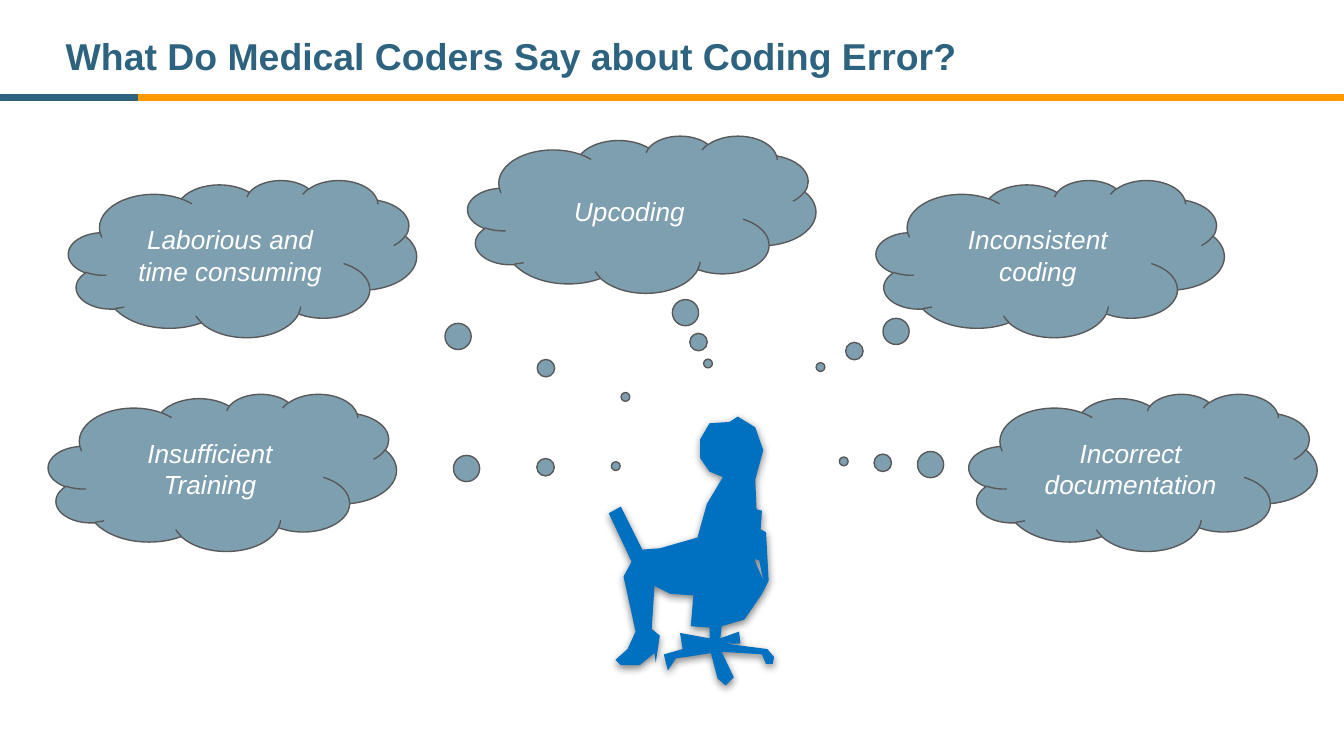
from dataclasses import dataclass

from lxml import etree
from pptx import Presentation
from pptx.dml.color import RGBColor
from pptx.enum.shapes import MSO_SHAPE
from pptx.enum.text import MSO_ANCHOR, MSO_AUTO_SIZE, PP_ALIGN
from pptx.oxml.ns import qn
from pptx.util import Pt


@dataclass(frozen=True)
class Theme:
    """Colours and type sizes of the slide."""
    teal: RGBColor = RGBColor(0x2D, 0x63, 0x7F)
    orange: RGBColor = RGBColor(0xFF, 0x99, 0x00)
    blue: RGBColor = RGBColor(0x00, 0x70, 0xC0)
    outline: RGBColor = RGBColor(0x59, 0x59, 0x59)
    white: RGBColor = RGBColor(0xFF, 0xFF, 0xFF)
    font: str = "Arial"
    title_size: float = 20
    thought_size: float = 14
    line_width: float = 0.75
    cloud_opacity: int = 61


THEME = Theme()
CLOUD_WIDTH, CLOUD_HEIGHT = 186.5, 84.2
UPPER_ROW, LOWER_ROW = 96.5, 211

THOUGHTS = [
    ("Upcoding", 250.6, 72.7, 0.19, 0.95),
    ("Inconsistent coding", 469.4, UPPER_ROW, -0.66, 0.69),
    ("Laborious and time consuming", 36.7, UPPER_ROW, 1.1, 0.88),
    ("Insufficient Training", 25.9, LOWER_ROW, 1.13, -0.04),
    ("Incorrect documentation", 519.1, LOWER_ROW, -0.86, -0.07),
]

CODER_OUTLINE = [
    (576, 489), (571, 483), (540, 479), (551, 479), (550, 470), (536, 475),
    (537, 466), (554, 461), (567, 442), (572, 432), (570, 396), (566, 394),
    (567, 380), (563, 379), (562, 357), (568, 335), (562, 318), (549, 310),
    (543, 314), (528, 315), (521, 327), (521, 341), (528, 351), (538, 355),
    (526, 375), (519, 400), (491, 408), (478, 409), (462, 377), (453, 382),
    (470, 418), (464, 429), (473, 470), (467, 483), (458, 491), (462, 495),
    (476, 495), (487, 486), (488, 493), (491, 473), (485, 468), (487, 436),
    (499, 442), (516, 443), (514, 466), (528, 467), (528, 475), (506, 471),
    (508, 483), (494, 487), (497, 499), (503, 490), (529, 486), (534, 505),
    (540, 510), (546, 504), (537, 485), (567, 487), (570, 494), (575, 494),
]
ARMREST_GAP = [(562, 416), (565, 417), (568, 432), (562, 418)]


def paint(shape, fill, line):
    """Set a flat fill and outline without a shadow."""
    shape.shadow.inherit = False
    shape.fill.solid()
    shape.fill.fore_color.rgb = fill
    shape.line.color.rgb = line
    shape.line.width = Pt(THEME.line_width)


def write(paragraph, words, size, colour, bold=False, italic=False):
    """Add one formatted run to a paragraph."""
    run = paragraph.add_run()
    run.text = words
    run.font.name = THEME.font
    run.font.size = Pt(size)
    run.font.color.rgb = colour
    run.font.bold = bold
    run.font.italic = italic


def add_title(slide, words):
    """Move the title placeholder into place and fill it."""
    title = slide.shapes.title
    title.left, title.top, title.width, title.height = Pt(28), Pt(10.8), Pt(684.7), Pt(37.4)
    frame = title.text_frame
    frame.auto_size = MSO_AUTO_SIZE.NONE
    frame.vertical_anchor = MSO_ANCHOR.MIDDLE
    heading = frame.paragraphs[0]
    heading.alignment = PP_ALIGN.LEFT
    write(heading, words, THEME.title_size, THEME.teal, bold=True)


def add_rule(slide, left, width, colour):
    """Add one coloured part of the rule below the title."""
    rule = slide.shapes.add_shape(MSO_SHAPE.RECTANGLE, Pt(left), Pt(50.6), Pt(width), Pt(3.4))
    paint(rule, colour, colour)


def add_coder(slide):
    """Draw the seated coder with a soft shadow below."""
    builder = slide.shapes.build_freeform(*CODER_OUTLINE[0], scale=Pt(0.72))
    builder.add_line_segments(CODER_OUTLINE[1:], close=True)
    builder.move_to(*ARMREST_GAP[0])
    builder.add_line_segments(ARMREST_GAP[1:], close=True)
    coder = builder.convert_to_shape()
    paint(coder, THEME.blue, THEME.blue)
    coder.line.fill.background()
    effects = coder._element.spPr.find(qn("a:effectLst"))
    shadow = etree.SubElement(effects, qn("a:outerShdw"), blurRad=str(Pt(4.5)),
                              dist=str(Pt(1.5)), dir="5400000", rotWithShape="0")
    shade = etree.SubElement(shadow, qn("a:srgbClr"), val="000000")
    etree.SubElement(shade, qn("a:alpha"), val="50000")


def add_thought(slide, words, left, top, tail_x, tail_y):
    """Add a translucent thought cloud with its trail of bubbles."""
    cloud = slide.shapes.add_shape(MSO_SHAPE.CLOUD_CALLOUT, Pt(left), Pt(top),
                                   Pt(CLOUD_WIDTH), Pt(CLOUD_HEIGHT))
    cloud.adjustments[0], cloud.adjustments[1] = tail_x, tail_y
    paint(cloud, THEME.teal, THEME.outline)
    tint = cloud._element.spPr.find(qn("a:solidFill"))[0]
    etree.SubElement(tint, qn("a:alpha"), val=str(THEME.cloud_opacity * 1000))
    frame = cloud.text_frame
    frame.word_wrap = True
    frame.vertical_anchor = MSO_ANCHOR.MIDDLE
    frame.margin_left = frame.margin_right = Pt(7.2)
    frame.margin_top = frame.margin_bottom = Pt(7.2)
    thought = frame.paragraphs[0]
    thought.alignment = PP_ALIGN.CENTER
    write(thought, words, THEME.thought_size, THEME.white, italic=True)


def main():
    """Build and save the slide."""
    deck = Presentation()
    deck.slide_width, deck.slide_height = Pt(720), Pt(405)
    slide = deck.slides.add_slide(deck.slide_layouts[5])
    add_title(slide, "What Do Medical Coders Say about Coding Error?")
    add_rule(slide, 51.1, 668.5, THEME.orange)
    add_rule(slide, 0.4, 73, THEME.teal)
    add_coder(slide)
    for thought in THOUGHTS:
        add_thought(slide, *thought)
    deck.save("out.pptx")


if __name__ == "__main__":
    main()
